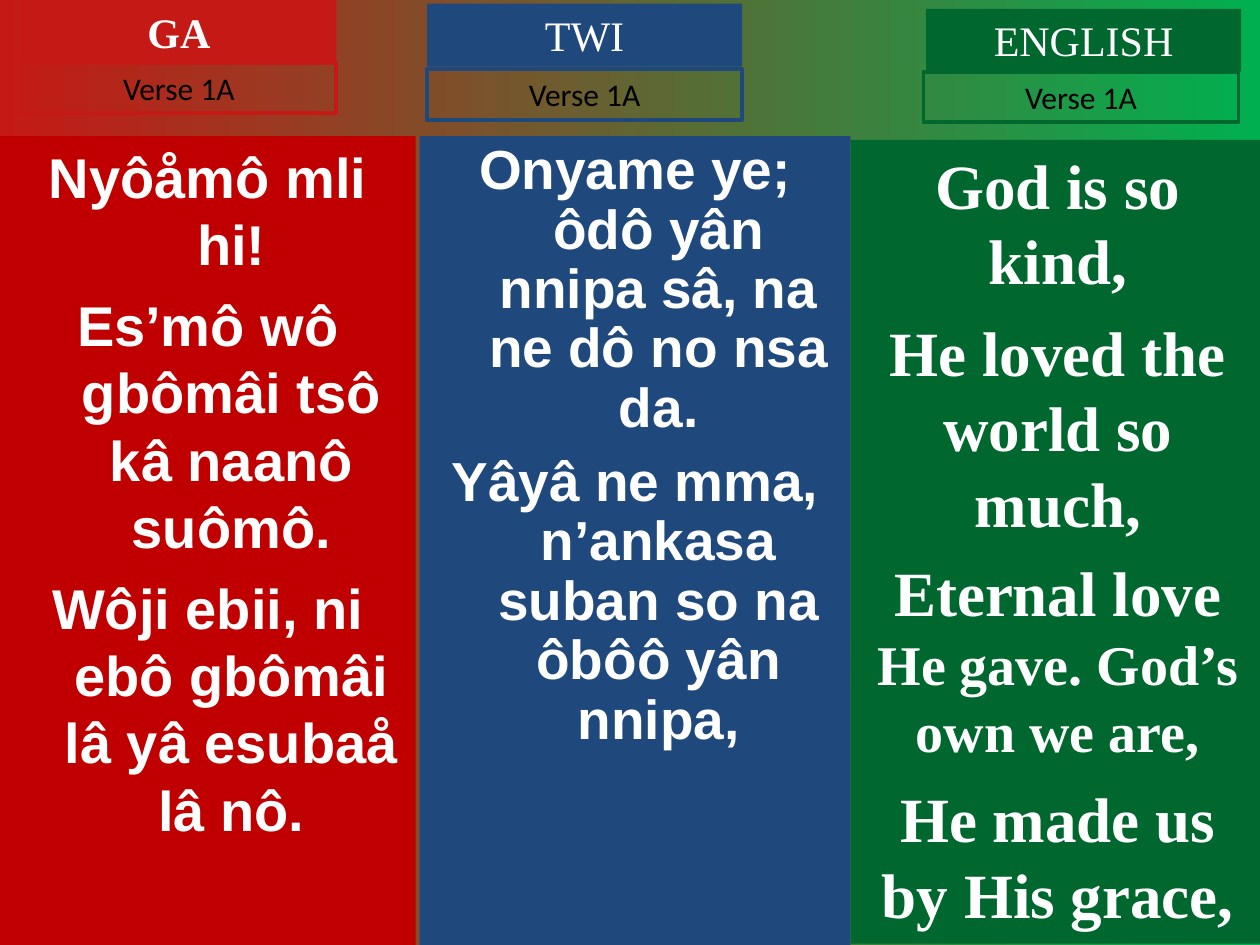
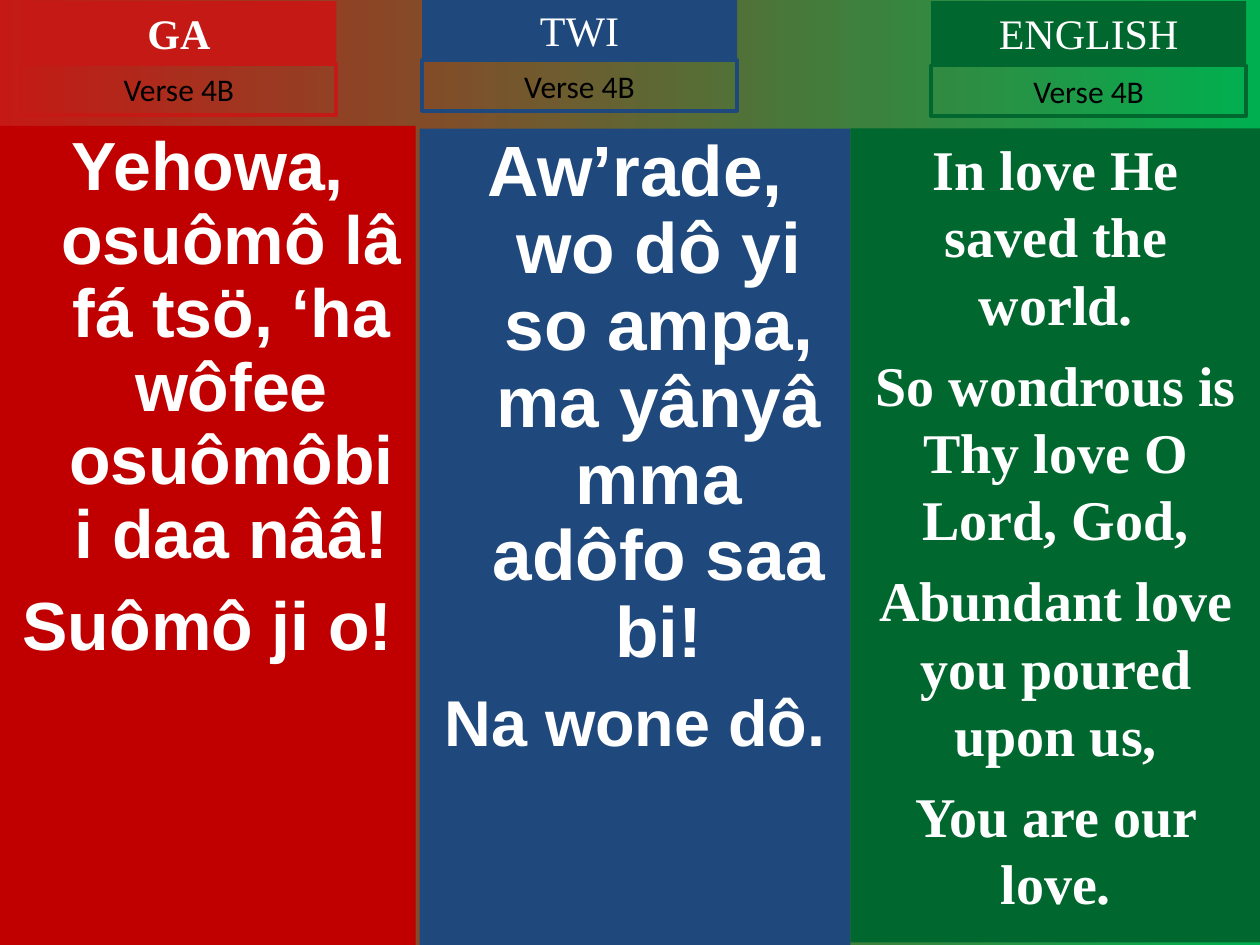
from dataclasses import dataclass
from typing import Any

import pptx
import pptx.dml.color
import pptx.enum.shapes
import pptx.enum.text
import pptx.util

RGB = pptx.dml.color.RGBColor
CRIMSON = RGB(0xC5, 0x19, 0x15)
RED = RGB(0xC0, 0x00, 0x00)
NAVY = RGB(0x1F, 0x49, 0x7D)
FOREST = RGB(0x00, 0x68, 0x2F)
EMERALD = RGB(0x00, 0xB0, 0x50)
WHITE = RGB(0xFF, 0xFF, 0xFF)
BLACK = RGB(0x00, 0x00, 0x00)

SLIDE_WIDTH = pptx.util.Inches(10)
SLIDE_HEIGHT = pptx.util.Inches(7.5)
GRID_COLUMNS, GRID_ROWS = 100, 75
HEADING_COLUMNS, HEADING_ROWS, TAG_ROWS = 25, 5, 4
HANGING_COLUMNS = 3.75

FIXED = pptx.enum.text.MSO_AUTO_SIZE.NONE
GROWING = pptx.enum.text.MSO_AUTO_SIZE.SHAPE_TO_FIT_TEXT
TOP = pptx.enum.text.MSO_ANCHOR.TOP
INSETS = {
    "margin_left": pptx.util.Inches(0.1),
    "margin_right": pptx.util.Inches(0.1),
    "margin_top": pptx.util.Inches(0.05),
    "margin_bottom": pptx.util.Inches(0.05),
    "word_wrap": True,
    "vertical_anchor": TOP,
}


@dataclass(frozen=True)
class Box:
    column: float
    row: float
    columns: float
    rows: float


@dataclass(frozen=True)
class Language:
    title: str
    accent: RGB
    panel: RGB
    font: str
    hanging: bool
    bold_title: bool = False


@dataclass(frozen=True)
class Phrase:
    text: str
    size: float


@dataclass(frozen=True)
class Line:
    phrases: tuple[Phrase, ...]
    space_before: float


@dataclass(frozen=True)
class Translation:
    language: Language
    panel: Box
    heading: tuple[float, float]
    tag: tuple[float, float]
    lines: tuple[Line, ...]
    line_spacing: float = 1.0


@dataclass(frozen=True)
class Verse:
    name: str
    translations: tuple[Translation, ...]


def same_size(size: float, space_before: float, *texts: str) -> tuple[Line, ...]:
    return tuple(Line((Phrase(text, size),), space_before) for text in texts)


GA = Language("GA", CRIMSON, RED, "Arial", True, True)
TWI = Language("TWI", NAVY, NAVY, "Arial", True)
ENGLISH = Language("ENGLISH", FOREST, FOREST, "Times New Roman", False)

VERSES = (
    Verse("Verse 1A", (
        Translation(
            GA, Box(0, 10.8, 33, 64.2), (1.7, 0), (1.7, 5),
            same_size(
                32, 8,
                "Nyôåmô mli hi!",
                "Es’mô wô gbômâi tsô kâ naanô suômô.",
                "Wôji ebii, ni ebô gbômâi lâ yâ esubaå lâ nô.",
            ),
        ),
        Translation(
            TWI, Box(33.3, 10.8, 34.2, 64.2), (33.9, 0.3), (33.9, 5.5),
            same_size(
                31.4, 8.5,
                "Onyame ye; ôdô yân nnipa sâ, na ne dô no nsa da.",
                "Yâyâ ne mma, n’ankasa suban so na ôbôô yân nnipa,",
            ),
            0.9,
        ),
        Translation(
            ENGLISH, Box(67.5, 11.1, 32.9, 63.8), (73.5, 0.7), (73.3, 5.7),
            (
                *same_size(36, 9, "God is so kind,", "He loved the world so much,"),
                Line((Phrase("Eternal love ", 36), Phrase("He gave. God’s own we are,", 32)), 8),
                *same_size(36, 9, "He made us by His grace,"),
            ),
        ),
    )),
    Verse("Verse 4B", (
        Translation(
            GA, Box(0, 10, 33, 65), (1.7, 0.1), (1.7, 5.1),
            same_size(
                38.9, 10.5,
                "Yehowa, osuômô lâ fá tsö, ‘ha wôfee osuômôbii daa nââ!",
                "Suômô ji o!",
            ),
            0.9,
        ),
        Translation(
            TWI, Box(33.3, 10.2, 34.2, 64.8), (33.5, -0.1), (33.5, 4.8),
            (
                *same_size(40.7, 11, "Aw’rade, wo dô yi so ampa, ma yânyâ mma adôfo saa bi!"),
                *same_size(37, 10, "Na wone dô."),
            ),
            0.9,
        ),
        Translation(
            ENGLISH, Box(67.5, 10.2, 32.6, 64.6), (73.9, 0.1), (73.9, 5.2),
            same_size(
                32, 8,
                "In love He saved the world.",
                "So wondrous is Thy love O Lord, God,",
                "Abundant love you poured upon us,",
                "You are our love.",
            ),
        ),
    )),
)


def apply(target: Any, values: dict[str, Any]) -> None:
    for attribute, value in values.items():
        setattr(target, attribute, value)


def across(columns: float) -> int:
    return round(SLIDE_WIDTH * columns / GRID_COLUMNS)


def down(rows: float) -> int:
    return round(SLIDE_HEIGHT * rows / GRID_ROWS)


def draw_block(slide: Any, box: Box, fill: RGB | None, outline: RGB | None, auto_size: Any) -> Any:
    block = slide.shapes.add_shape(
        pptx.enum.shapes.MSO_SHAPE.RECTANGLE,
        across(box.column), down(box.row), across(box.columns), down(box.rows),
    )
    block.shadow.inherit = False
    if fill is None:
        block.fill.background()
    else:
        block.fill.solid()
        block.fill.fore_color.rgb = fill
    if outline is None:
        block.line.fill.background()
    else:
        block.line.color.rgb = outline
        block.line.width = pptx.util.Pt(2.25)
    apply(block.text_frame, INSETS | {"auto_size": auto_size})
    return block.text_frame


def write_phrase(paragraph: Any, phrase: Phrase, font: str, color: RGB, bold: bool) -> None:
    run = paragraph.add_run()
    run.text = phrase.text
    apply(run.font, {"name": font, "size": pptx.util.Pt(phrase.size), "bold": bold})
    run.font.color.rgb = color


def write_label(frame: Any, phrase: Phrase, font: str, color: RGB, bold: bool = False) -> None:
    paragraph = frame.paragraphs[0]
    paragraph.alignment = pptx.enum.text.PP_ALIGN.CENTER
    write_phrase(paragraph, phrase, font, color, bold)


def write_lyrics(frame: Any, translation: Translation) -> None:
    language = translation.language
    for index, line in enumerate(translation.lines):
        paragraph = frame.add_paragraph() if index else frame.paragraphs[0]
        apply(paragraph, {
            "alignment": pptx.enum.text.PP_ALIGN.CENTER,
            "line_spacing": translation.line_spacing,
            "space_before": pptx.util.Pt(line.space_before if index else 0),
        })
        if language.hanging:
            properties = paragraph._p.get_or_add_pPr()
            properties.set("marL", str(across(HANGING_COLUMNS)))
            properties.set("indent", str(-across(HANGING_COLUMNS)))
        for phrase in line.phrases:
            write_phrase(paragraph, phrase, language.font, WHITE, True)


def draw_translation(slide: Any, translation: Translation, verse_name: str) -> None:
    language = translation.language
    lyrics = draw_block(slide, translation.panel, language.panel, None, FIXED)
    write_lyrics(lyrics, translation)
    heading_box = Box(*translation.heading, HEADING_COLUMNS, HEADING_ROWS)
    heading = draw_block(slide, heading_box, language.accent, None, GROWING)
    write_label(heading, Phrase(language.title, 24), "Times New Roman", WHITE, language.bold_title)
    tag_box = Box(*translation.tag, HEADING_COLUMNS, TAG_ROWS)
    tag = draw_block(slide, tag_box, None, language.accent, GROWING)
    write_label(tag, Phrase(verse_name, 18), "Calibri", BLACK)


def paint_background(slide: Any) -> None:
    fill = slide.background.fill
    fill.gradient()
    fill.gradient_angle = 0
    for stop, color, position in zip(fill.gradient_stops, (CRIMSON, EMERALD), (0, 1)):
        stop.color.rgb = color
        stop.position = position


def main() -> None:
    presentation = pptx.Presentation()
    apply(presentation, {"slide_width": SLIDE_WIDTH, "slide_height": SLIDE_HEIGHT})
    for verse in VERSES:
        slide = presentation.slides.add_slide(presentation.slide_layouts[6])
        paint_background(slide)
        for translation in verse.translations:
            draw_translation(slide, translation, verse.name)
    presentation.save("out.pptx")


if __name__ == "__main__":
    main()
